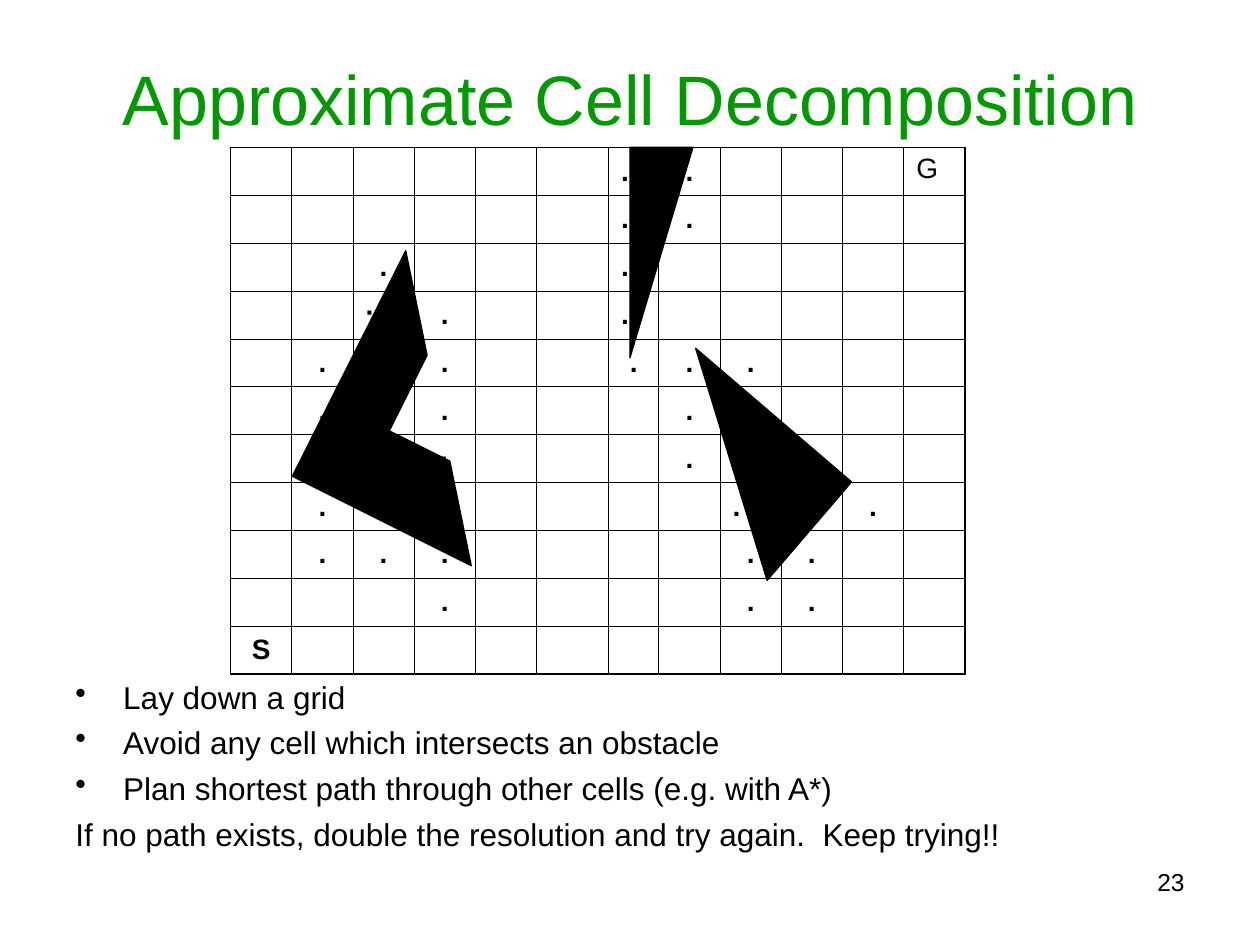
from lxml import etree
from pptx import Presentation
from pptx.dml.color import RGBColor
from pptx.enum.shapes import MSO_SHAPE
from pptx.enum.text import MSO_ANCHOR, PP_ALIGN
from pptx.oxml.ns import qn
from pptx.util import Inches, Pt

LEFT, CENTER, RIGHT = PP_ALIGN.LEFT, PP_ALIGN.CENTER, PP_ALIGN.RIGHT
TOP, MIDDLE = MSO_ANCHOR.TOP, MSO_ANCHOR.MIDDLE
RIGHT_TRIANGLE = MSO_SHAPE.RIGHT_TRIANGLE

COLORS = {"title": "009900", "ink": "000000"}
THIN, THICK = 0.45, 1.08

# Symbol in GRID -> text, alignment, anchor, bold, superscript in percent
MARKS = {
    "l": (".", LEFT, MIDDLE, True, 0),
    "c": (".", CENTER, MIDDLE, True, 0),
    "r": (".", RIGHT, MIDDLE, True, 0),
    "u": (".", RIGHT, MIDDLE, True, 30),
    "L": ("·", LEFT, MIDDLE, True, 0),
    "C": ("·", CENTER, MIDDLE, True, 0),
    "R": ("·", RIGHT, MIDDLE, True, 0),
    "t": ("·", LEFT, TOP, True, 0),
    "S": ("S", CENTER, MIDDLE, True, 0),
    "G": ("G", LEFT, TOP, False, 0),
}
GRID = [
    "------lc---G",
    "------lc----",
    "--c---l-----",
    "--tc--l-----",
    "-c-c--ccc---",
    "-c-c---cu---",
    "-L-C---c-r--",
    "-c-R----l-c-",
    "-ccc----cc--",
    "---c----cc--",
    "S-----------",
]
GRID_WIDTH, ROW_HEIGHT = 5.83, 0.38
SPECIAL_COLS = {5: 0.57, 6: 0.4}

BULLETS = [
    "Lay down a grid",
    "Avoid any cell which intersects an obstacle",
    "Plan shortest path through other cells (e.g. with A*)",
]
CLOSING = "If no path exists, double the resolution and try again.  Keep trying!!"
BENT_OBSTACLE = [(2.32, 3.78), (3.74, 4.49), (3.57, 3.66),
                 (3.09, 3.42), (3.39, 2.82), (3.22, 1.99)]


class SlideBuilder:
    def __init__(self, slide, font="Arial"):
        self.slide = slide
        self.font = font

    def color(self, name):
        return RGBColor.from_string(COLORS[name])

    def run(self, p, text, size, color="ink", bold=False):
        r = p.add_run()
        r.text = text
        r.font.name = self.font
        r.font.size = Pt(size)
        r.font.bold = bold
        r.font.color.rgb = self.color(color)
        return r

    def title(self, text, box):
        sp = self.slide.shapes.title
        sp.left, sp.top, sp.width, sp.height = map(Inches, box)
        tf = sp.text_frame
        tf.vertical_anchor = MIDDLE
        p = tf.paragraphs[0]
        p.alignment = CENTER
        self.run(p, text, 40, "title")

    def text_box(self, box):
        tf = self.slide.shapes.add_textbox(*map(Inches, box)).text_frame
        tf.word_wrap = True
        return tf

    def body(self, bullets, closing, box):
        tf = self.text_box(box)
        for i, text in enumerate([*bullets, closing]):
            p = tf.add_paragraph() if i else tf.paragraphs[0]
            p.space_before = Pt(4.5)
            if i < len(bullets):
                pPr = p._p.get_or_add_pPr()
                pPr.set("marL", str(Inches(0.38)))
                pPr.set("indent", str(-Inches(0.38)))
                etree.SubElement(pPr, qn("a:buChar"), char="•")
            self.run(p, text, 18)

    def page_number(self, text, box):
        p = self.text_box(box).paragraphs[0]
        p.alignment = RIGHT
        self.run(p, text, 14)

    def borders(self, cell, widths):
        """Draw the cell's left, right, top and bottom lines, in that order."""
        tcPr = cell._tc.get_or_add_tcPr()
        for side, width in zip("LRTB", widths):
            ln = etree.SubElement(tcPr, qn(f"a:ln{side}"), w=str(Pt(width)))
            fill = etree.SubElement(ln, qn("a:solidFill"))
            etree.SubElement(fill, qn("a:srgbClr"), val=COLORS["ink"])

    def mark(self, cell, symbol):
        p = cell.text_frame.paragraphs[0]
        if symbol not in MARKS:
            etree.SubElement(p._p, qn("a:endParaRPr"), sz="1600")
            return
        text, align, anchor, bold, raised = MARKS[symbol]
        cell.vertical_anchor = anchor
        p.alignment = align
        p.space_before = Pt(4)
        r = self.run(p, text, 16, bold=bold)
        if raised:
            r.font._element.set("baseline", str(raised * 1000))

    def grid(self, rows, left, top):
        n_rows, n_cols = len(rows), len(rows[0])
        table = self.slide.shapes.add_table(
            n_rows, n_cols, Inches(left), Inches(top),
            Inches(GRID_WIDTH), Inches(ROW_HEIGHT * n_rows)).table
        table.first_row = table.horz_banding = False
        regular = ((GRID_WIDTH - sum(SPECIAL_COLS.values()))
                   / (n_cols - len(SPECIAL_COLS)))
        for i, col in enumerate(table.columns):
            col.width = Inches(SPECIAL_COLS.get(i, regular))
        for i, row in enumerate(rows):
            table.rows[i].height = Inches(ROW_HEIGHT)
            for j, symbol in enumerate(row):
                cell = table.cell(i, j)
                outer = (j == 0, j == n_cols - 1, i == 0, i == n_rows - 1)
                self.borders(cell, [THICK if edge else THIN for edge in outer])
                cell.fill.background()
                self.mark(cell, symbol)

    def paint(self, sp):
        sp.shadow.inherit = False
        sp.fill.solid()
        sp.fill.fore_color.rgb = self.color("ink")
        sp.line.color.rgb = self.color("ink")
        sp.line.width = Pt(0.75)

    def triangle(self, box, flip, rotation=0):
        sp = self.slide.shapes.add_shape(RIGHT_TRIANGLE, *map(Inches, box))
        sp.rotation = rotation
        sp.element.spPr.find(qn("a:xfrm")).set(flip, "1")
        self.paint(sp)

    def polygon(self, points):
        start, *rest = [(Inches(x), Inches(y)) for x, y in points]
        builder = self.slide.shapes.build_freeform(*start)
        builder.add_line_segments(rest, close=True)
        self.paint(builder.convert_to_shape())


def main():
    prs = Presentation()
    prs.slide_width, prs.slide_height = Inches(10), Inches(7.5)
    s = SlideBuilder(prs.slides.add_slide(prs.slide_layouts[5]))
    s.title("Approximate Cell Decomposition", (0.5, 0.3, 9, 0.95))
    s.body(BULLETS, CLOSING, (0.5, 5.33, 9, 1.67))
    s.grid(GRID, 1.83, 1.17)
    s.triangle((5, 1.17, 0.5, 1.67), "flipV")
    s.triangle((5.29, 2.87, 1.03, 1.63), "flipH", 310.6)
    s.polygon(BENT_OBSTACLE)
    s.page_number("23", (4.83, 6.83, 4.67, 0.52))
    prs.save("out.pptx")


if __name__ == "__main__":
    main()
